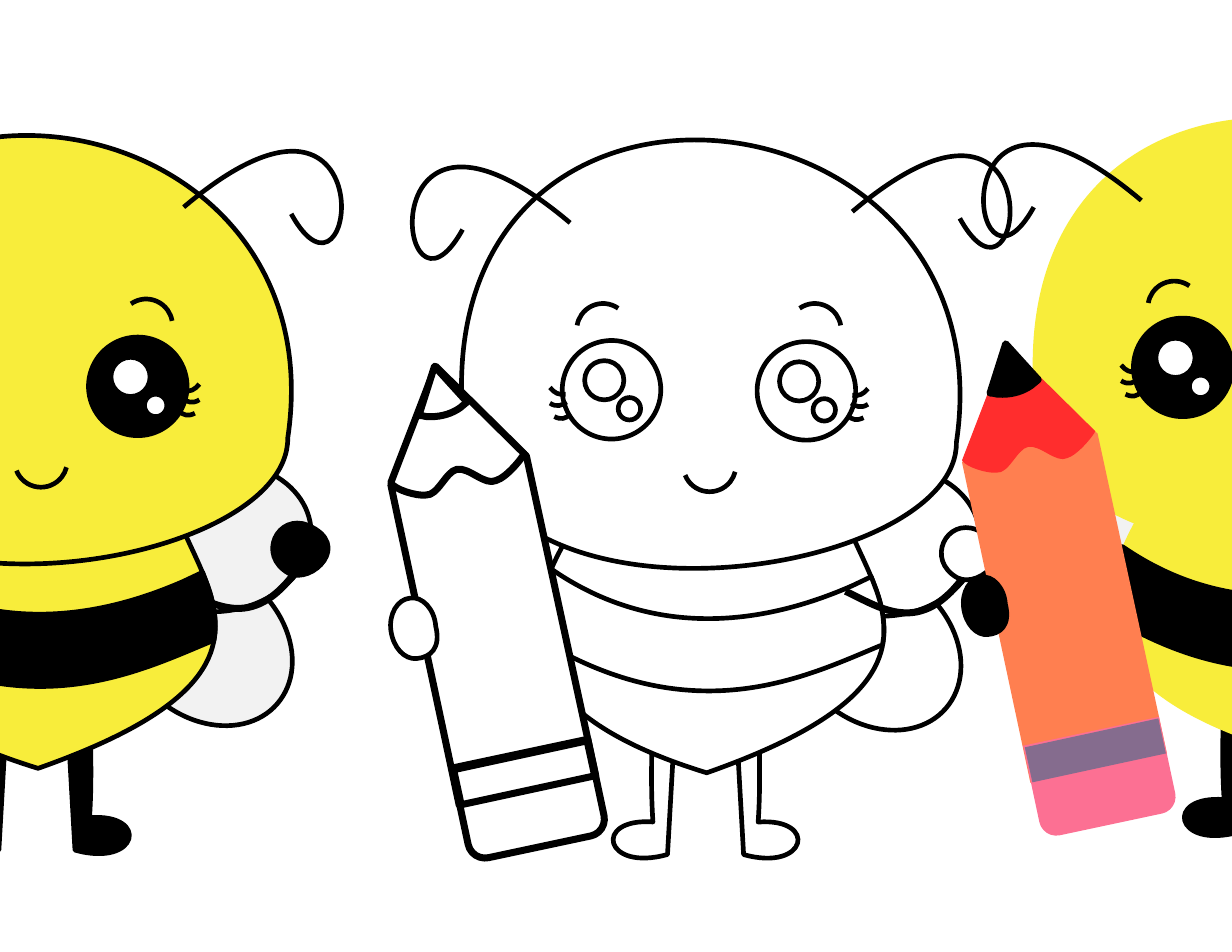
from dataclasses import dataclass
from math import cos, radians, sin
from typing import Optional

from lxml.etree import SubElement
from pptx import Presentation
from pptx.dml.color import RGBColor
from pptx.enum.shapes import MSO_SHAPE as Preset
from pptx.oxml.ns import qn
from pptx.util import Inches, Pt

BLACK = RGBColor(0, 0, 0)
WHITE = RGBColor(255, 255, 255)
YELLOW = RGBColor(0xF8, 0xED, 0x3B)
WING_GRAY = RGBColor(0xF2, 0xF2, 0xF2)
ORANGE = RGBColor(0xFF, 0x7F, 0x50)
PINK = RGBColor(0xFC, 0x70, 0x93)
PURPLE = RGBColor(0x85, 0x6C, 0x8E)
RED = RGBColor(0xFF, 0x2D, 0x2D)

BODY_AXIS, FACE_AXIS = 6.3, 6.33

# A path is its start point, then (x, y) for a line or six numbers for a curve.
LEG = [(6.64, 7.63), (6.58, 6.58), (6.78, 6.56),
       (6.78, 6.82, 6.79, 7.05, 6.77, 7.34), (7.31, 7.3, 7.21, 7.79, 6.64, 7.63)]
BODY = [(5.37, 4.11), (7.51, 3.98), (7.13, 4.94, 9.24, 5.87, 6.31, 6.9),
        (3.47, 6.03, 5.53, 4.51, 5.37, 4.11)]
HEAD = [(4.17, 4.05), (3.55, 0.08, 9.04, 0.59, 8.54, 3.95),
        (8.55, 5.09, 4.76, 5.73, 4.17, 4.05)]
ANTENNA = [(7.61, 1.89), (9.45, 0.33, 9.16, 3.02, 8.57, 1.95)]
LASHES = [
    ([(7.57, 3.71), (7.61, 3.75, 7.65, 3.76, 7.71, 3.73)], 0),
    ([(7.6, 3.6), (7.64, 3.63, 7.69, 3.65, 7.75, 3.61)], 0),
    ([(7.61, 3.53), (7.67, 3.54, 7.71, 3.52, 7.75, 3.47)], 328.8)]
STRIPE = [(4.92, 5.08), (4.95, 5.1), (5.72, 5.62, 6.63, 5.66, 7.61, 5.23),
          (7.78, 5.15), (7.81, 5.23), (7.87, 5.38, 7.9, 5.53, 7.89, 5.69),
          (7.88, 5.76), (7.85, 5.77), (7.2, 6.04, 6.25, 6.51, 4.94, 5.78),
          (4.8, 5.69), (4.8, 5.64), (4.79, 5.47, 4.84, 5.3, 4.9, 5.13)]
PENCIL_BODY = [(3.49, 4.33), (3.56, 4.16, 3.87, 4.18, 4.08, 4.13),
               (4.28, 4.11, 4.52, 3.9, 4.7, 4.07), (5.32, 6.93), (4.1, 7.19)]
PENCIL_WOOD = [(3.89, 3.27), (4.68, 4.05), (4.67, 4.08, 4.53, 4.26, 4.43, 4.29),
               (4.33, 4.34, 4.19, 4.17, 4.08, 4.19),
               (3.98, 4.21, 3.91, 4.43, 3.8, 4.42),
               (3.72, 4.43, 3.52, 4.37, 3.49, 4.31)]
PENCIL_TIP = [(3.88, 3.27), (4.17, 3.59), (4.11, 3.64),
              (4.04, 3.69, 3.95, 3.72, 3.85, 3.72),
              (3.82, 3.72, 3.79, 3.72, 3.76, 3.71), (3.74, 3.71)]
LEFT_HAND = [(3.49, 5.63), (3.51, 5.78, 3.61, 5.89, 3.72, 5.88),
             (3.84, 5.87, 3.94, 5.79, 3.89, 5.59),
             (3.88, 5.44, 3.77, 5.32, 3.66, 5.34),
             (3.55, 5.35, 3.47, 5.48, 3.49, 5.63)]
RIGHT_ARM = [(7.55, 5.28), (7.87, 5.43, 8.22, 5.69, 8.62, 5.13)]
RIGHT_HAND = [(8.72, 4.73), (9.12, 4.9, 8.76, 5.26, 8.55, 5.16),
              (8.26, 5, 8.45, 4.62, 8.72, 4.73)]


@dataclass
class Palette:
    skin: RGBColor
    wing: RGBColor
    dark: RGBColor
    face_line_fill: Optional[RGBColor] = None
    skin_line: float = 3
    hand_line: float = 3
    pencil_line: float = 4.5
    pencil_body: RGBColor = WHITE
    eraser: RGBColor = WHITE
    band: RGBColor = WHITE
    wood: RGBColor = WHITE


def pairs(step):
    return list(zip(step[::2], step[1::2]))


def turn(point, pivot, angle):
    x, y = point[0] - pivot[0], point[1] - pivot[1]
    c, s = cos(radians(angle)), sin(radians(angle))
    return pivot[0] + x * c - y * s, pivot[1] + x * s + y * c


def bezier(points, t):
    weights = ((1 - t) ** 3, 3 * t * (1 - t) ** 2, 3 * t * t * (1 - t), t ** 3)
    return tuple(sum(w * p[i] for w, p in zip(weights, points)) for i in (0, 1))


def paint(shape, fill, line):
    shape.shadow.inherit = False
    if fill is None:
        shape.fill.background()
    else:
        shape.fill.solid()
        shape.fill.fore_color.rgb = fill
    if line:
        shape.line.color.rgb = BLACK
        shape.line.width = Pt(line)
    else:
        shape.line.fill.background()


class Canvas:
    """A group that draws in the middle bee's coordinates, moved by dx and dy."""

    def __init__(self, slide, dx, dy):
        self.shapes = slide.shapes.add_group_shape().shapes
        self.dx, self.dy = dx, dy

    def preset(self, kind, box, fill=None, line=3, rotation=0, adjust=(),
               axis=None):
        """Add a preset shape, mirrored about axis when one is given."""
        left, top, width, height = box
        if axis:
            left, rotation = 2 * axis - left - width, -rotation
        shape = self.shapes.add_shape(
            kind, Inches(left + self.dx), Inches(top + self.dy),
            Inches(width), Inches(height))
        for index, value in enumerate(adjust):
            shape.adjustments[index] = value
        shape.rotation = rotation % 360
        paint(shape, fill, line)
        return shape

    def curve(self, path, fill=None, line=3, rotation=0, axis=None, closed=True,
              drop=0):
        """Add a curved outline whose path is given as it looks once rotated."""
        steps = [[((2 * axis - x if axis else x) + self.dx, y + self.dy + drop)
                  for x, y in pairs(step)] for step in path]
        rotation = -rotation if axis else rotation
        pivot = steps[0][0]
        steps = [[turn(p, pivot, -rotation) for p in step] for step in steps]
        outline, end = [], steps[0][0]
        for step in steps[1:]:
            outline += ([bezier([end, *step], i / 20) for i in range(1, 21)]
                        if len(step) == 3 else step)
            end = step[-1]
        builder = self.shapes.build_freeform(*map(Inches, steps[0][0]))
        builder.add_line_segments([tuple(map(Inches, p)) for p in outline], closed)
        shape = builder.convert_to_shape()
        left, top = shape.left, shape.top

        outline_path = next(shape._element.iter(qn("a:path")))
        for child in list(outline_path):
            outline_path.remove(child)
        for index, step in enumerate(steps):
            tag = "a:moveTo" if not index else (
                "a:cubicBezTo" if len(step) == 3 else "a:lnTo")
            command = SubElement(outline_path, qn(tag))
            for x, y in step:
                SubElement(command, qn("a:pt"), x=str(Inches(x) - left),
                           y=str(Inches(y) - top))
        if closed:
            SubElement(outline_path, qn("a:close"))

        half = shape.width / 2, shape.height / 2
        center = turn((left + half[0], top + half[1]),
                      tuple(map(Inches, pivot)), rotation)
        shape.left, shape.top = (round(c - h) for c, h in zip(center, half))
        shape.rotation = rotation % 360
        paint(shape, fill, line)


def draw_wings(canvas, palette, axis):
    for box, rotation in (((6.97, 5.11, 1.68, 1.33), 40.8),
                          ((7.07, 4.17, 1.68, 1.33), 353.6)):
        canvas.preset(Preset.OVAL, box, palette.wing, rotation=rotation, axis=axis)


def draw_face_side(canvas, palette, left_side):
    axis = FACE_AXIS if left_side else None
    canvas.curve(ANTENNA, closed=False, drop=0.1 if left_side else 0,
                 axis=FACE_AXIS + 0.02 if left_side else None)
    x, y = (5.02, 3.04) if left_side else (6.76, 3.05)
    canvas.preset(Preset.OVAL, (x, y, 0.88, 0.88), palette.dark)
    canvas.preset(Preset.OVAL, (x + 0.2, y + 0.18, 0.35, 0.35), WHITE)
    canvas.preset(Preset.OVAL, (x + 0.5, y + 0.51, 0.2, 0.2), WHITE)
    for path, rotation in LASHES:
        canvas.curve(path, palette.face_line_fill, rotation=rotation, axis=axis,
                     closed=False, drop=-0.01 if left_side else 0)
    brow = canvas.preset(Preset.ARC, (7.04, 2.71, 0.47, 0.47),
                         palette.face_line_fill, rotation=54.8,
                         adjust=(146.742, 0), axis=axis)
    if not left_side:
        brow._element.spPr.get_or_add_xfrm().set("flipH", "1")


def draw_pencil(canvas, palette):
    line = palette.pencil_line
    canvas.curve(PENCIL_BODY, palette.pencil_body, line, 347.8)
    canvas.preset(Preset.ROUND_2_SAME_RECTANGLE, (4.11, 6.72, 1.24, 0.85),
                  palette.eraser, line, 168, (0.181, 0))
    canvas.preset(Preset.RECTANGLE, (4.07, 6.74, 1.22, 0.32), palette.band, line,
                  347.8)
    canvas.curve(PENCIL_WOOD, palette.wood, line, 347.8)
    canvas.curve(PENCIL_TIP, palette.dark, 4.5)
    canvas.curve(LEFT_HAND, palette.dark, palette.hand_line, 173.4)


def draw_bee(slide, dx, dy, palette, left=True, right=True):
    """Draw a bee; left and right tell which of its sides are on the page."""
    canvas = Canvas(slide, dx, dy)
    if right:
        canvas.curve(LEG, palette.dark, rotation=281.6)
    canvas.curve(LEG, palette.dark, rotation=281.6, axis=BODY_AXIS)
    if right:
        draw_wings(canvas, palette, None)
    if left:
        draw_wings(canvas, palette, BODY_AXIS)
    canvas.curve(BODY, palette.skin, palette.skin_line)
    canvas.curve(HEAD, palette.skin, palette.skin_line)
    if right:
        canvas.preset(Preset.ARC, (6.1, 3.92, 0.47, 0.47), palette.face_line_fill,
                      rotation=158.3, adjust=(129.397, 0))
    if left:
        draw_face_side(canvas, palette, True)
    if right:
        draw_face_side(canvas, palette, False)
    canvas.curve(STRIPE, palette.dark)
    if left:
        draw_pencil(canvas, palette)
    if right:
        canvas.curve(RIGHT_ARM, line=4.5, closed=False)
        canvas.curve(RIGHT_HAND, palette.dark)


def main():
    presentation = Presentation()
    presentation.slide_width, presentation.slide_height = Inches(11), Inches(8.5)
    slide = presentation.slides.add_slide(presentation.slide_layouts[6])
    draw_bee(slide, -5.97, -0.04, Palette(YELLOW, WING_GRAY, BLACK), left=False)
    draw_bee(slide, 0, 0, Palette(WHITE, WHITE, WHITE, WHITE))
    draw_bee(slide, 5.1, -0.2, Palette(
        YELLOW, WING_GRAY, BLACK, skin_line=0, hand_line=1, pencil_line=0,
        pencil_body=ORANGE, eraser=PINK, band=PURPLE, wood=RED), right=False)
    presentation.save("out.pptx")


if __name__ == "__main__":
    main()
